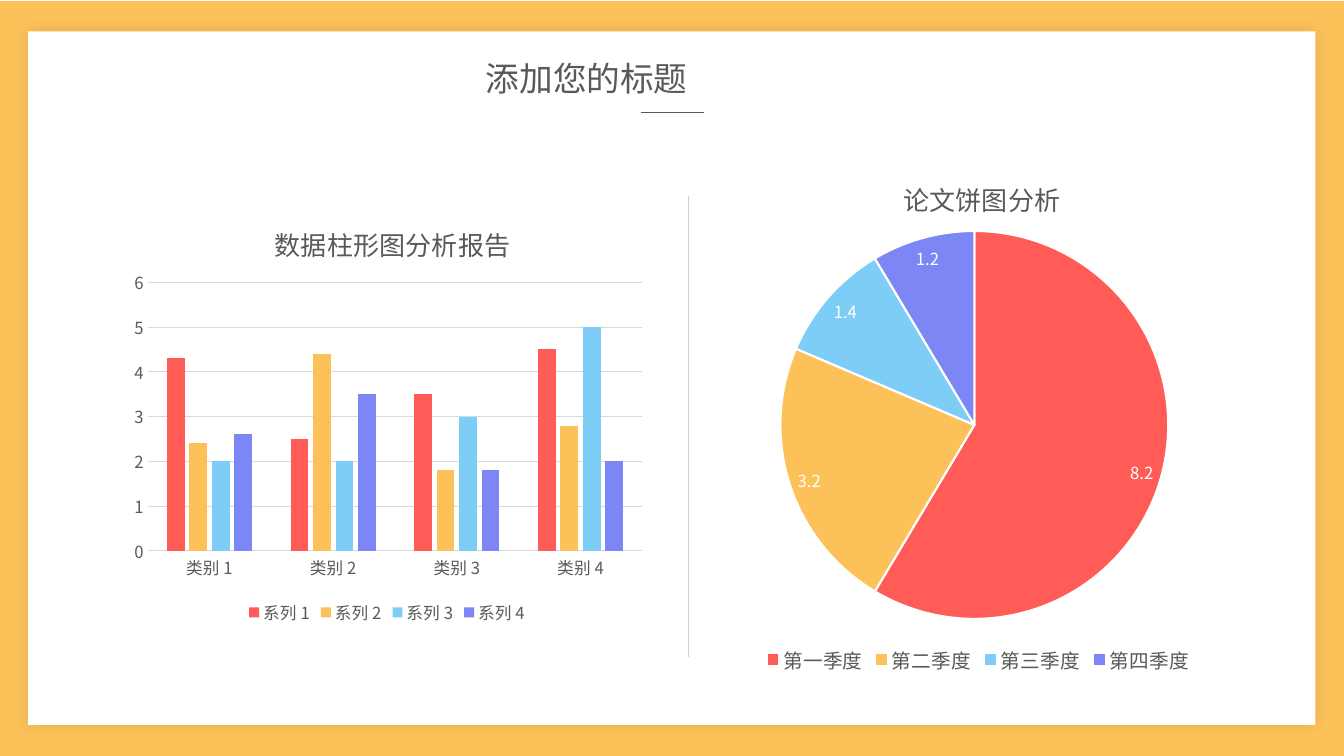
"""Build a slide with a column chart and a pie chart inside a framed panel."""
from lxml import etree
from pptx import Presentation
from pptx.chart.data import CategoryChartData
from pptx.dml.color import RGBColor
from pptx.enum.chart import XL_CHART_TYPE, XL_LABEL_POSITION, XL_LEGEND_POSITION, XL_TICK_MARK
from pptx.enum.shapes import MSO_CONNECTOR, MSO_SHAPE
from pptx.enum.text import MSO_ANCHOR, MSO_AUTO_SIZE, PP_ALIGN
from pptx.oxml import parse_xml
from pptx.oxml.ns import nsdecls, qn
from pptx.util import Cm, Pt

COLUMN = XL_CHART_TYPE.COLUMN_CLUSTERED
PIE = XL_CHART_TYPE.PIE
BOTTOM = XL_LEGEND_POSITION.BOTTOM
BEST_FIT = XL_LABEL_POSITION.BEST_FIT
NO_TICK = XL_TICK_MARK.NONE
STRAIGHT = MSO_CONNECTOR.STRAIGHT
RECT = MSO_SHAPE.RECTANGLE
MIDDLE = MSO_ANCHOR.MIDDLE
NO_AUTOFIT = MSO_AUTO_SIZE.NONE
JUSTIFY = PP_ALIGN.JUSTIFY

FONT = "Noto Sans CJK SC"
GRAY, GRID, DIVIDER, WHITE = "595959", "D9D9D9", "D0CECE", "FFFFFF"
PALETTE = ["FF5B57", "FCC259", "7ECDF7", "7C87F5"]
FRAME = PALETTE[1]


def rgb(value):
    return RGBColor.from_string(value)


def fill(fmt, color):
    fmt.fill.solid()
    fmt.fill.fore_color.rgb = rgb(color)


def outline(line, color, width):
    line.color.rgb = rgb(color)
    line.width = Pt(width)


def set_font(font, size, color):
    font.name = FONT
    font.size = Pt(size)
    font.bold = False
    font.color.rgb = rgb(color)


def set_east_asian(element):
    for latin in list(element.iter(qn("a:latin"))):
        latin.addnext(parse_xml(f'<a:ea {nsdecls("a")} typeface="{FONT}"/>'))


def add_panel(s, title, x, y, w, h, color):
    sp = s.shapes.add_shape(RECT, Cm(x), Cm(y), Cm(w), Cm(h))
    sp.shadow.inherit = False
    fill(sp, color)
    sp.line.fill.background()
    title.element.addprevious(sp.element)
    return sp


def add_glow_shadow(sp):
    effects = sp.element.spPr.find(qn("a:effectLst"))
    effects.append(parse_xml(
        f'<a:outerShdw {nsdecls("a")} blurRad="{Pt(10)}" dist="0" algn="ctr" rotWithShape="0">'
        '<a:srgbClr val="000000"><a:alpha val="10000"/></a:srgbClr></a:outerShdw>'))


def add_line(s, x1, y1, x2, y2, color):
    line = s.shapes.add_connector(STRAIGHT, Cm(x1), Cm(y1), Cm(x2), Cm(y2))
    outline(line.line, color, 0.5)
    etree.SubElement(line.element.spPr, qn("a:effectLst"))


def format_title(title, text):
    title.left, title.top, title.width, title.height = Cm(11.99), Cm(1.32), Cm(9.88), Cm(1.27)
    tf = title.text_frame
    tf.text = text
    tf.auto_size = NO_AUTOFIT
    tf.vertical_anchor = MIDDLE
    p = tf.paragraphs[0]
    p.alignment = JUSTIFY
    set_font(p.font, 24, GRAY)
    set_east_asian(title.element)


def place(parent, index, **fractions):
    """Give a chart part a manual layout in fractions of the chart area."""
    for old in parent.findall(qn("c:layout")):
        parent.remove(old)
    target = '<c:layoutTarget val="inner"/>' if "w" in fractions else ""
    modes = "".join(f'<c:{k}Mode val="edge"/>' for k in "xy")
    values = "".join(f'<c:{k} val="{v}"/>' for k, v in fractions.items())
    parent.insert(index, parse_xml(
        f'<c:layout {nsdecls("c")}><c:manualLayout>{target}{modes}{values}'
        '</c:manualLayout></c:layout>'))


def add_chart(s, kind, box, title, cats, series, legend_size, title_at, plot_at):
    data = CategoryChartData()
    data.categories = cats
    for name, values in series:
        data.add_series(name, values)
    chart = s.shapes.add_chart(kind, *map(Cm, box), data).chart
    set_font(chart.font, 10, "000000")
    chart.has_title = True
    tf = chart.chart_title.text_frame
    tf.text = title
    set_font(tf.paragraphs[0].font, 18.6, GRAY)
    chart.chart_title.include_in_layout = False
    chart.has_legend = True
    chart.legend.position = BOTTOM
    chart.legend.include_in_layout = False
    set_font(chart.legend.font, legend_size, GRAY)
    place(chart.chart_title.element, 1, **title_at)
    place(next(chart.element.iter(qn("c:plotArea"))), 0, **plot_at)
    return chart


def format_columns(chart):
    plot = chart.plots[0]
    plot.vary_by_categories = False
    plot.gap_width, plot.overlap = 219, -27
    for series, color in zip(plot.series, PALETTE):
        fill(series.format, color)
    for axis in (chart.category_axis, chart.value_axis):
        axis.major_tick_mark = axis.minor_tick_mark = NO_TICK
        set_font(axis.tick_labels.font, 11.9, GRAY)
    outline(chart.category_axis.format.line, GRID, 0.75)
    axis = chart.value_axis
    axis.minimum_scale, axis.maximum_scale, axis.major_unit = 0, 6, 1
    axis.format.line.fill.background()
    outline(axis.major_gridlines.format.line, GRID, 0.75)


def format_pie(chart):
    plot = chart.plots[0]
    plot.vary_by_categories = True
    for i, color in enumerate(PALETTE):
        fmt = plot.series[0].points[i].format
        fill(fmt, color)
        outline(fmt.line, WHITE, 1.5)
    labels = plot.series[0].data_labels
    labels.show_value = True
    labels.position = BEST_FIT
    set_font(labels.font, 11.9, WHITE)


def main():
    prs = Presentation()
    prs.slide_width, prs.slide_height = Cm(33.87), Cm(19.05)
    s = prs.slides.add_slide(prs.slide_layouts[5])
    title = s.shapes.title
    add_panel(s, title, 0, 0.03, 33.87, 19.02, FRAME)
    add_glow_shadow(add_panel(s, title, 0.71, 0.79, 32.44, 17.48, WHITE))
    format_title(title, "添加您的标题")
    add_line(s, 16.15, 2.84, 17.73, 2.84, GRAY)

    columns = add_chart(
        s, COLUMN, (3.05, 4.93, 13.41, 10.92), "数据柱形图分析报告",
        [f"类别 {n}" for n in range(1, 5)],
        [("系列 1", (4.3, 2.5, 3.5, 4.5)), ("系列 2", (2.4, 4.4, 1.8, 2.8)),
         ("系列 3", (2, 2, 3, 5)), ("系列 4", (2.6, 3.5, 1.8, 2))],
        11.9, {"x": 0.28, "y": 0.05}, {"x": 0.05, "y": 0.2, "w": 0.93, "h": 0.62})
    format_columns(columns)
    add_line(s, 17.35, 4.93, 17.35, 16.56, DIVIDER)

    pie = add_chart(
        s, PIE, (14.61, 3.68, 20.09, 13.39), "论文饼图分析",
        [f"第{n}季度" for n in "一二三四"], [("Series 1", (8.2, 3.2, 1.4, 1.2))],
        14, {"x": 0.4, "y": 0.05}, {"x": 0.25, "y": 0.16, "w": 0.49, "h": 0.73})
    format_pie(pie)
    for chart in (columns, pie):
        set_east_asian(chart.element)
    prs.save("out.pptx")


if __name__ == "__main__":
    main()
